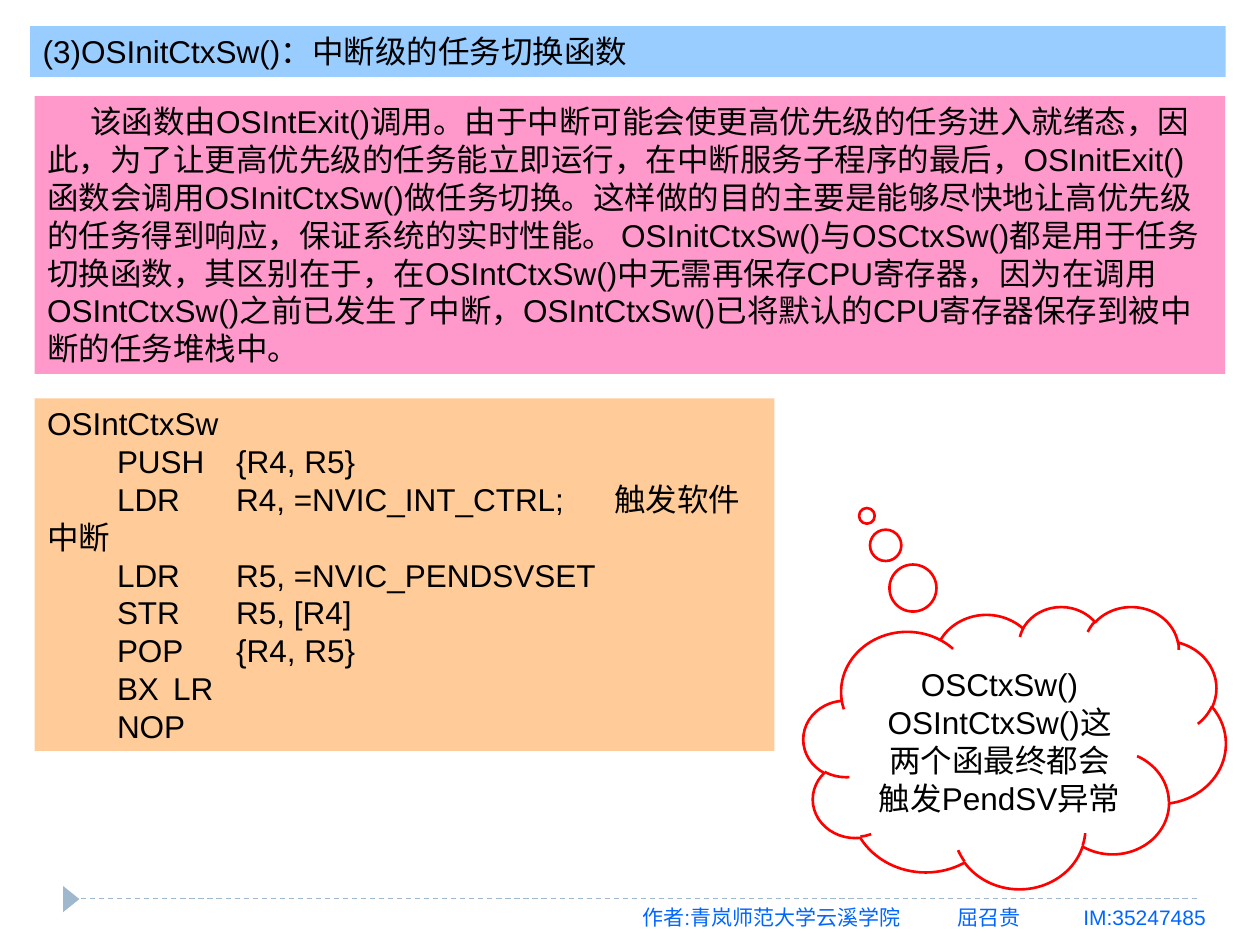
from lxml import etree
from pptx import Presentation
from pptx.dml.color import RGBColor
from pptx.enum import dml, shapes, text
from pptx.oxml import ns
from pptx.util import Cm, Pt

BLACK = RGBColor(0x00, 0x00, 0x00)
SKY = RGBColor(0x99, 0xCC, 0xFF)
PINK = RGBColor(0xFF, 0x99, 0xCC)
PEACH = RGBColor(0xFF, 0xCC, 0x99)
RED = RGBColor(0xFF, 0x00, 0x00)
STEEL = RGBColor(0x9F, 0xB8, 0xCD)
LINK_BLUE = RGBColor(0x00, 0x66, 0xFF)

TITLE = "(3)OSInitCtxSw()：中断级的任务切换函数"
EXPLANATION = (
    "该函数由OSIntExit()调用。由于中断可能会使更高优先级的任务进入就绪态，因此，"
    "为了让更高优先级的任务能立即运行，在中断服务子程序的最后，OSInitExit()函数会调用"
    "OSInitCtxSw()做任务切换。这样做的目的主要是能够尽快地让高优先级的任务得到响应，"
    "保证系统的实时性能。 OSInitCtxSw()与OSCtxSw()都是用于任务切换函数，其区别在于，"
    "在OSIntCtxSw()中无需再保存CPU寄存器，因为在调用OSIntCtxSw()之前已发生了中断，"
    "OSIntCtxSw()已将默认的CPU寄存器保存到被中断的任务堆栈中。"
)
ROUTINE = "OSIntCtxSw"
INSTRUCTIONS = [
    "PUSH\t{R4, R5}",
    "LDR\tR4, =NVIC_INT_CTRL;\t触发软件中断",
    "LDR\tR5, =NVIC_PENDSVSET",
    "STR\tR5, [R4]",
    "POP\t{R4, R5}",
    "BX\tLR",
    "NOP",
]
REMARK = "OSCtxSw() OSIntCtxSw()这两个函最终都会触发PendSV异常"
AUTHOR = "作者:青岚师范大学云溪学院\t屈召贵\tIM:35247485"


def write(para, words, size=18, color=BLACK, first_indent=0, tabs=()):
    """Fill one paragraph; first_indent and tabs are in centimetres."""
    para.text = words
    props = para._p.get_or_add_pPr()
    props.set("marL", "0")
    props.set("indent", str(Cm(first_indent)))
    if tabs:
        stops = etree.SubElement(props, ns.qn("a:tabLst"))
        for tab in tabs:
            etree.SubElement(stops, ns.qn("a:tab"), pos=str(Cm(tab)), algn="l")
    para.font.name = "Arial"
    para.font.size = Pt(size)
    para.font.color.rgb = color


def add_plain_shape(page, kind, left, top, width, height, fill=None):
    shape = page.shapes.add_shape(kind, Cm(left), Cm(top), Cm(width), Cm(height))
    shape.shadow.inherit = False
    shape.line.fill.background()
    if fill is None:
        shape.fill.background()
    else:
        shape.fill.solid()
        shape.fill.fore_color.rgb = fill
    return shape


def add_panel(page, left, top, width, height, fill):
    """Draw a filled rectangle and return its first, left-aligned paragraph's frame."""
    panel = add_plain_shape(page, shapes.MSO_SHAPE.RECTANGLE, left, top, width, height, fill)
    frame = panel.text_frame
    frame.word_wrap = True
    frame.vertical_anchor = text.MSO_ANCHOR.TOP
    frame.paragraphs[0].alignment = text.PP_ALIGN.LEFT
    return frame


def add_title(page, left, top, width, height):
    frame = add_panel(page, left, top, width, height, SKY)
    write(frame.paragraphs[0], TITLE)


def add_explanation(page, left, top, width, height):
    frame = add_panel(page, left, top, width, height, PINK)
    write(frame.paragraphs[0], EXPLANATION, first_indent=0.87)


def add_code(page, left, top, width, height):
    frame = add_panel(page, left, top, width, height, PEACH)
    write(frame.paragraphs[0], ROUTINE)
    for instruction in INSTRUCTIONS:
        para = frame.add_paragraph()
        para.alignment = text.PP_ALIGN.LEFT
        write(para, instruction, first_indent=1.41, tabs=(3.57, 10.68))


def add_thought(page, left, top, width, height):
    cloud = add_plain_shape(page, shapes.MSO_SHAPE.CLOUD_CALLOUT, left, top, width, height)
    cloud.adjustments[0] = -0.35
    cloud.adjustments[1] = -0.82
    cloud.line.color.rgb = RED
    cloud.line.width = Pt(1.5)
    frame = cloud.text_frame
    frame.word_wrap = True
    frame.vertical_anchor = text.MSO_ANCHOR.MIDDLE
    frame.paragraphs[0].alignment = text.PP_ALIGN.CENTER
    write(frame.paragraphs[0], REMARK)


def add_footer(page, left, top, width, height):
    """Draw the dashed rule along the top of the box, its marker and the author line."""
    rule = page.shapes.add_connector(
        shapes.MSO_CONNECTOR.STRAIGHT, Cm(left), Cm(top), Cm(left + width), Cm(top))
    rule.line.color.rgb = STEEL
    rule.line.width = Pt(0.75)
    rule.line.dash_style = dml.MSO_LINE.DASH
    etree.SubElement(rule._element.spPr, ns.qn("a:effectLst"))

    marker = add_plain_shape(page, shapes.MSO_SHAPE.ISOSCELES_TRIANGLE,
                             left - 0.1, top - 0.15, 0.53, 0.33, STEEL)
    marker.rotation = 90

    box = page.shapes.add_textbox(
        Cm(left + width / 2), Cm(top), Cm(width / 2 + 0.64), Cm(height))
    box.text_frame.word_wrap = True
    write(box.text_frame.paragraphs[0], AUTHOR, size=12, color=LINK_BLUE, tabs=(5.57, 7.14))


def main():
    deck = Presentation()
    deck.slide_width = Cm(25.4)
    deck.slide_height = Cm(19.05)
    page = deck.slides.add_slide(deck.slide_layouts[6])
    add_footer(page, 1.27, 18.11, 22.86, 0.76)
    add_title(page, 0.61, 0.53, 24.1, 1.02)
    add_explanation(page, 0.7, 1.94, 24, 5.6)
    add_code(page, 0.7, 8.03, 14.91, 7.11)
    add_thought(page, 16.2, 12.22, 8.51, 5.69)
    deck.save("out.pptx")


if __name__ == "__main__":
    main()
